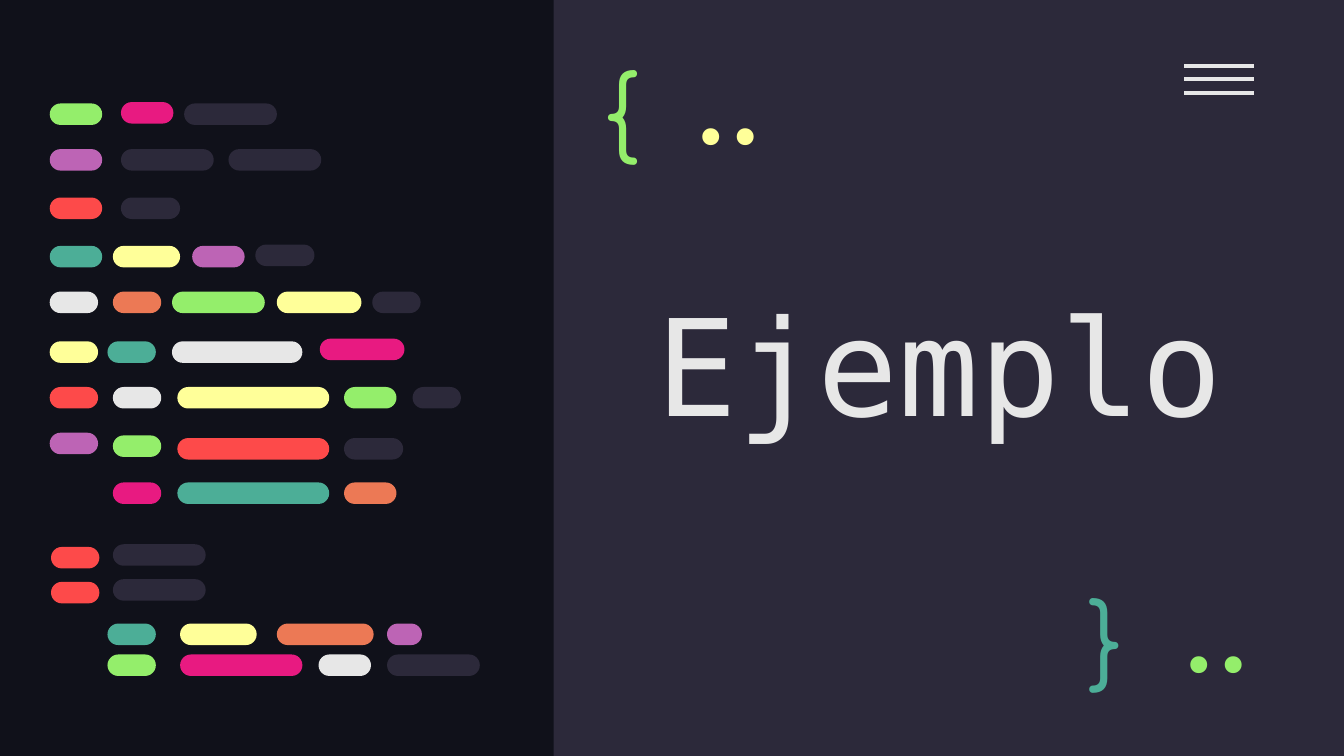
from lxml.etree import SubElement
from pptx import Presentation
from pptx.dml.color import RGBColor
from pptx.enum.shapes import MSO_CONNECTOR, MSO_SHAPE
from pptx.enum.text import MSO_ANCHOR as Anchor, PP_ALIGN as Align
from pptx.oxml.ns import qn
from pptx.util import Inches, Pt

COLORS = {
    "night": "10111A", "slate": "2C293A", "white": "E7E7E7", "green": "94EE6B",
    "pink": "E81A81", "purple": "BD64B5", "red": "FD4A4A", "teal": "4CAE97",
    "yellow": "FFFF99", "orange": "EC7955",
}

prs = Presentation()
prs.slide_width = Inches(10)
prs.slide_height = prs.slide_width * 9 // 16
slide = prs.slides.add_slide(prs.slide_layouts[6])
background = slide.background.fill
background.solid()
background.fore_color.rgb = RGBColor.from_string(COLORS["night"])


def add_block(preset, left, top, width, height, color):
    block = slide.shapes.add_shape(
        preset, Inches(left), Inches(top), Inches(width), Inches(height))
    block.shadow.inherit = False
    block.fill.solid()
    block.fill.fore_color.rgb = RGBColor.from_string(COLORS[color])
    block.line.fill.background()
    return block


def add_label(text, left, top, width, height, font, size, color, align, anchor):
    frame = slide.shapes.add_textbox(
        Inches(left), Inches(top), Inches(width), Inches(height)).text_frame
    frame.word_wrap = True
    frame.vertical_anchor = anchor
    frame.margin_left = frame.margin_right = Inches(0.1)
    frame.margin_top = frame.margin_bottom = Inches(0.1)
    paragraph = frame.paragraphs[0]
    paragraph.text = text
    paragraph.alignment = align
    paragraph.font.name = font
    paragraph.font.size = Pt(size)
    paragraph.font.color.rgb = RGBColor.from_string(COLORS[color])
    return paragraph


panel = add_block(MSO_SHAPE.RECTANGLE, 4.12, 0, 5.88, 5.62, "slate")
panel.height = prs.slide_height

# Menu icon
for row in range(3):
    y = Inches(0.49 + 0.1 * row)
    bar = slide.shapes.add_connector(
        MSO_CONNECTOR.STRAIGHT, Inches(8.81), y, Inches(9.33), y)
    bar.line.color.rgb = RGBColor.from_string(COLORS["white"])
    bar.line.width = Pt(2.25)
    SubElement(bar._element.spPr, qn("a:effectLst"))

title = add_label("Ejemplo", 4.76, 1.43, 4.46, 2.77, "DejaVu Sans Mono", 72,
                  "white", Align.CENTER, Anchor.MIDDLE)
title.line_spacing = 0.8

# Code lines: top, then (left, width, color) of each token
code_lines = [
    (0.77, [(0.37, 0.39, "green"), (1.37, 0.69, "slate")]),
    (0.76, [(0.9, 0.39, "pink")]),
    (1.11, [(0.37, 0.39, "purple"), (0.9, 0.69, "slate"), (1.7, 0.69, "slate")]),
    (1.47, [(0.37, 0.39, "red"), (0.9, 0.44, "slate")]),
    (1.83, [(0.37, 0.39, "teal"), (0.84, 0.5, "yellow"), (1.43, 0.39, "purple")]),
    (1.82, [(1.9, 0.44, "slate")]),
    (2.17, [(0.37, 0.36, "white"), (0.84, 0.36, "orange"), (1.28, 0.69, "green"),
            (2.06, 0.63, "yellow"), (2.77, 0.36, "slate")]),
    (2.54, [(0.37, 0.36, "yellow"), (0.8, 0.36, "teal"), (1.28, 0.97, "white")]),
    (2.52, [(2.38, 0.63, "pink")]),
    (2.88, [(0.37, 0.36, "red"), (0.84, 0.36, "white"), (1.32, 1.13, "yellow"),
            (2.56, 0.39, "green"), (3.07, 0.36, "slate")]),
    (3.22, [(0.37, 0.36, "purple")]),
    (3.24, [(0.84, 0.36, "green")]),
    (3.26, [(1.32, 1.13, "red"), (2.56, 0.44, "slate")]),
    (3.59, [(0.84, 0.36, "pink"), (1.32, 1.13, "teal"), (2.56, 0.39, "orange")]),
    (4.07, [(0.38, 0.36, "red")]),
    (4.05, [(0.84, 0.69, "slate")]),
    (4.33, [(0.38, 0.36, "red")]),
    (4.31, [(0.84, 0.69, "slate")]),
    (4.64, [(0.8, 0.36, "teal"), (1.34, 0.57, "yellow"), (2.06, 0.72, "orange"),
            (2.88, 0.26, "purple")]),
    (4.87, [(0.8, 0.36, "green"), (1.34, 0.91, "pink"), (2.37, 0.39, "white"),
            (2.88, 0.69, "slate")]),
]
for top, tokens in code_lines:
    for left, width, color in tokens:
        token = add_block(MSO_SHAPE.ROUNDED_RECTANGLE, left, top, width, 0.16, color)
        token.adjustments[0] = 0.5

for brace, left, top, width, height, color in [
    ("{", 4.39, 0.27, 0.77, 0.95, "green"),
    ("}", 8, 4.2, 0.57, 0.83, "teal"),
]:
    add_label(brace, left, top, width, height, "Comfortaa", 50, color,
              Align.LEFT, Anchor.TOP)

for left, top, color in [(8.51, 4.43, "green"), (4.88, 0.5, "yellow")]:
    add_label("..", left, top, 1.07, 0.6, "Fira Code", 50, color,
              Align.RIGHT, Anchor.MIDDLE)

prs.save("out.pptx")
